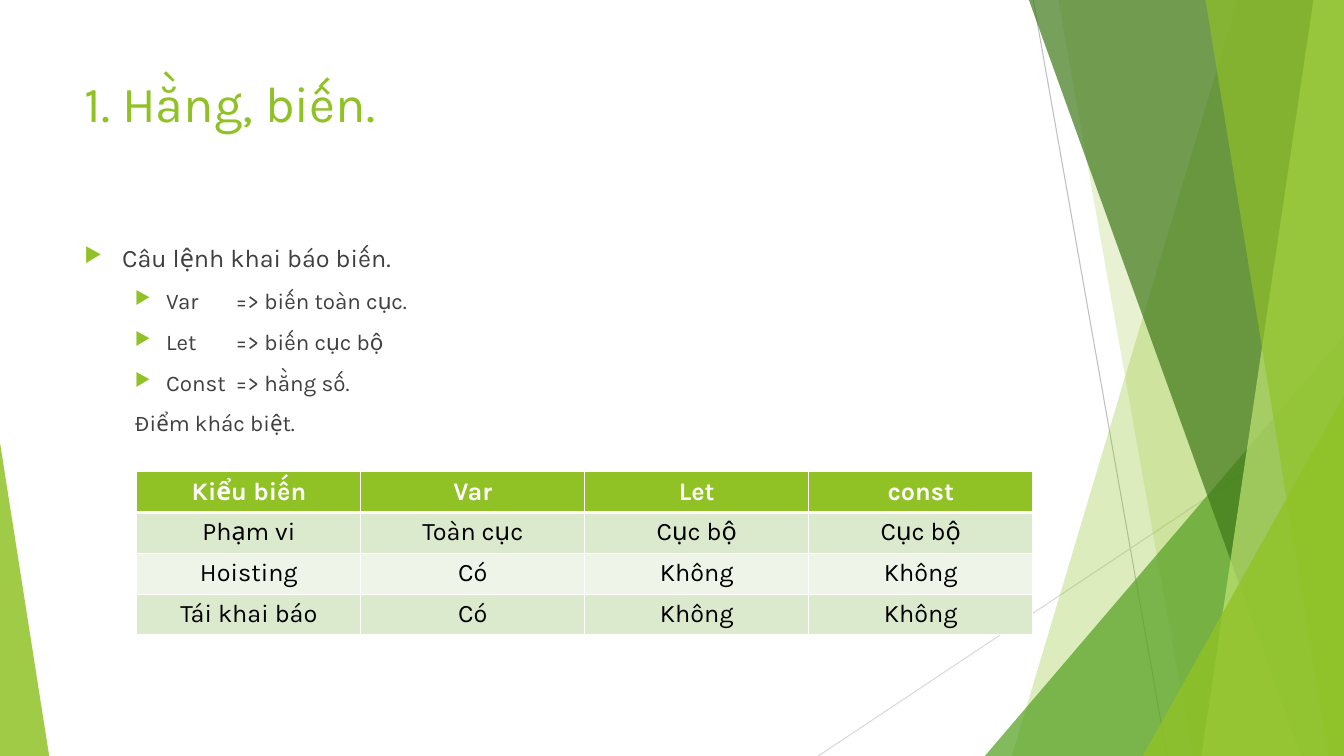
from dataclasses import dataclass
from lxml import etree
from pptx import Presentation
from pptx.dml.color import RGBColor
from pptx.enum.shapes import MSO_CONNECTOR, MSO_SHAPE
from pptx.enum.text import MSO_ANCHOR, MSO_AUTO_SIZE, PP_ALIGN
from pptx.oxml.ns import qn
from pptx.util import Cm, Pt

LINE = MSO_CONNECTOR.STRAIGHT
WEDGE = MSO_SHAPE.ISOSCELES_TRIANGLE
TOP = MSO_ANCHOR.TOP
FIXED = MSO_AUTO_SIZE.NONE
LEFT, MID = PP_ALIGN.LEFT, PP_ALIGN.CENTER


@dataclass(frozen=True)
class Theme:
    font: str = "Karla"
    lime: str = "90C226"
    leaf: str = "54A021"
    pine: str = "3F7819"
    pale: str = "C0E474"
    ink: str = "404040"
    black: str = "000000"
    white: str = "FFFFFF"
    dark_rule: str = "BFBFBF"
    light_rule: str = "D9D9D9"
    odd: str = "DBE9CD"
    even: str = "EEF4E8"
    title: int = 36
    body: int = 18
    sub: int = 16


THEME = Theme()


def rgb(code):
    return RGBColor.from_string(code)


def add(node, tag, **attrs):
    return etree.SubElement(node, qn(tag), attrs)


def write(para, text, size, color, bold=False):
    run = para.add_run()
    run.text = text
    font = run.font
    font.name, font.size, font.bold = THEME.font, Pt(size), bold
    font.color.rgb = rgb(color)


def paint(shape, color, alpha):
    shape.shadow.inherit = False
    shape.line.fill.background()
    shape.fill.solid()
    shape.fill.fore_color.rgb = rgb(color)
    tint = shape.fill._xPr.find(qn("a:solidFill"))[0]
    add(tint, "a:alpha", val=str(alpha * 1000))


def draw_line(slide, start, end, color):
    line = slide.shapes.add_connector(LINE, *map(Cm, start + end))
    line.line.color.rgb = rgb(color)
    line.line.width = Pt(0.75)
    add(line._element.spPr, "a:effectLst")


def draw_band(slide, box, top, base, color, alpha):
    x, y, w, h = box
    spots = [(x + w, y), (x + w, y + h), (x + base, y + h)]
    pen = slide.shapes.build_freeform(Cm(x + top), Cm(y))
    pen.add_line_segments([(Cm(a), Cm(b)) for a, b in spots])
    paint(pen.convert_to_shape(), color, alpha)


def draw_wedge(slide, box, tip, color, alpha):
    wedge = slide.shapes.add_shape(WEDGE, *map(Cm, box))
    wedge.adjustments[0] = tip
    paint(wedge, color, alpha)


def draw_facets(slide, box):
    x, y, w, h = box

    def corner(wide, high, color, alpha):
        place = (x + w - wide, y + h - high, wide, high)
        draw_wedge(slide, place, 1, color, alpha)

    draw_line(slide, (x + 5.42, y), (x + 8.79, y + h), THEME.dark_rule)
    draw_line(slide, (x + w, y + 10.24), (x, y + h), THEME.light_rule)
    draw_band(slide, box, 10.57, 4.88, THEME.lime, 30)
    draw_band(slide, box, 6.05, 9.43, THEME.lime, 20)
    corner(9.05, 10.59, THEME.leaf, 72)
    draw_band(slide, box, 5.31, 12.17, THEME.pine, 70)
    draw_band(slide, box, 12.48, 9.66, THEME.pale, 70)
    draw_band(slide, box, 9.76, 12.86, THEME.lime, 65)
    corner(5.07, 9.07, THEME.lime, 80)


def set_title(slide, box, text):
    title = slide.shapes.title
    title.left, title.top, title.width, title.height = map(Cm, box)
    frame = title.text_frame
    frame.word_wrap, frame.auto_size = True, FIXED
    frame.vertical_anchor = TOP
    para = frame.paragraphs[0]
    para.alignment = LEFT
    write(para, text, THEME.title, THEME.lime)


def add_body(slide, box, rows):
    frame = slide.shapes.add_textbox(*map(Cm, box)).text_frame
    frame.word_wrap, frame.auto_size = True, FIXED
    for i, (text, size, edge, hang) in enumerate(rows):
        para = frame.add_paragraph() if i else frame.paragraphs[0]
        para.space_before = Pt(10)
        props = para._p.get_or_add_pPr()
        props.set("marL", str(Cm(edge)))
        props.set("indent", str(-Cm(hang)))
        if hang:
            add(add(props, "a:buClr"), "a:srgbClr", val=THEME.lime)
            add(props, "a:buSzPct", val="80000")
            add(props, "a:buChar", char="▶")
        write(para, text, size, THEME.ink)


def edge_cell(cell, head):
    props = cell._tc.get_or_add_tcPr()
    for i, side in enumerate("LRTB"):
        width = 3 if head and side == "B" else 1
        line = etree.Element(qn(f"a:ln{side}"), w=str(Pt(width)))
        add(add(line, "a:solidFill"), "a:srgbClr", val=THEME.white)
        props.insert(i, line)


def add_grid(slide, box, rows):
    x, y, w, h = box
    size = len(rows), len(rows[0])
    table = slide.shapes.add_table(*size, *map(Cm, box)).table
    for col in table.columns:
        col.width = Cm(w / size[1])
    for r, row in enumerate(rows):
        table.rows[r].height = Cm(h / size[0])
        head = r == 0
        fill = THEME.lime if head else THEME.odd if r % 2 else THEME.even
        ink = THEME.white if head else THEME.black
        for c, text in enumerate(row):
            cell = table.cell(r, c)
            cell.fill.solid()
            cell.fill.fore_color.rgb = rgb(fill)
            edge_cell(cell, head)
            para = cell.text_frame.paragraphs[0]
            para.alignment = MID
            write(para, text, THEME.body, ink, head)


def main():
    deck = Presentation()
    deck.slide_width, deck.slide_height = Cm(33.87), Cm(19.05)
    slide = deck.slides.add_slide(deck.slide_layouts[5])
    draw_facets(slide, (20.62, 0, 13.25, 19.05))
    draw_wedge(slide, (0, 11.15, 1.24, 7.9), 0, THEME.lime, 85)
    set_title(slide, (1.88, 1.7, 23.88, 3.66), "1. Hằng, biến.")
    add_body(slide, (1.88, 5.99, 23.88, 10.77), [
        ("Câu lệnh khai báo biến.", THEME.body, 0.95, 0.95),
        ("Var\t=> biến toàn cục.", THEME.sub, 2.06, 0.79),
        ("Let\t=> biến cục bộ", THEME.sub, 2.06, 0.79),
        ("Const\t=> hằng số.", THEME.sub, 2.06, 0.79),
        ("Điểm khác biệt.", THEME.sub, 1.27, 0),
    ])
    add_grid(slide, (3.45, 11.89, 22.58, 4.11), [
        ("Kiểu biến", "Var", "Let", "const"),
        ("Phạm vi", "Toàn cục", "Cục bộ", "Cục bộ"),
        ("Hoisting", "Có", "Không", "Không"),
        ("Tái khai báo", "Có", "Không", "Không"),
    ])
    deck.save("out.pptx")


if __name__ == "__main__":
    main()
